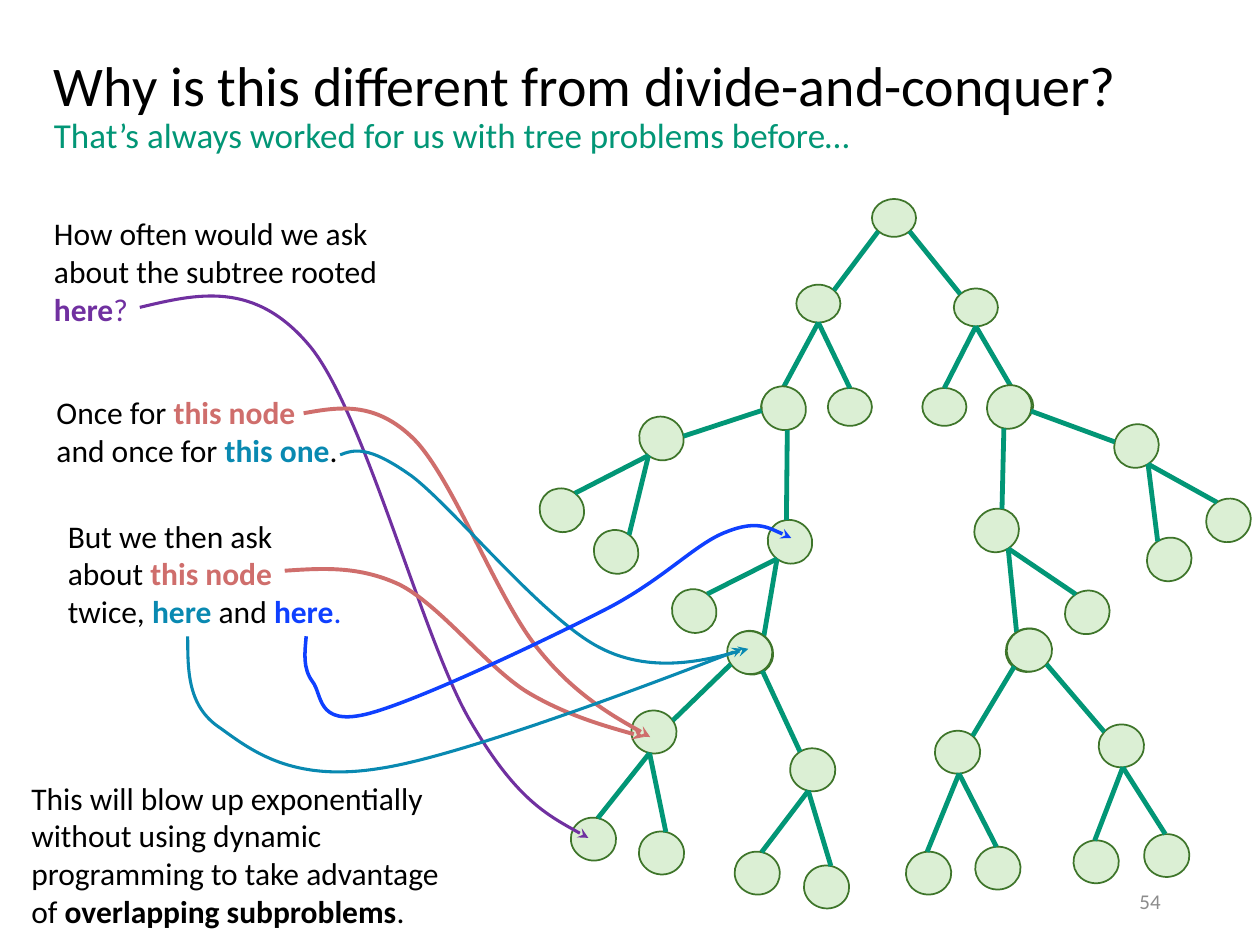
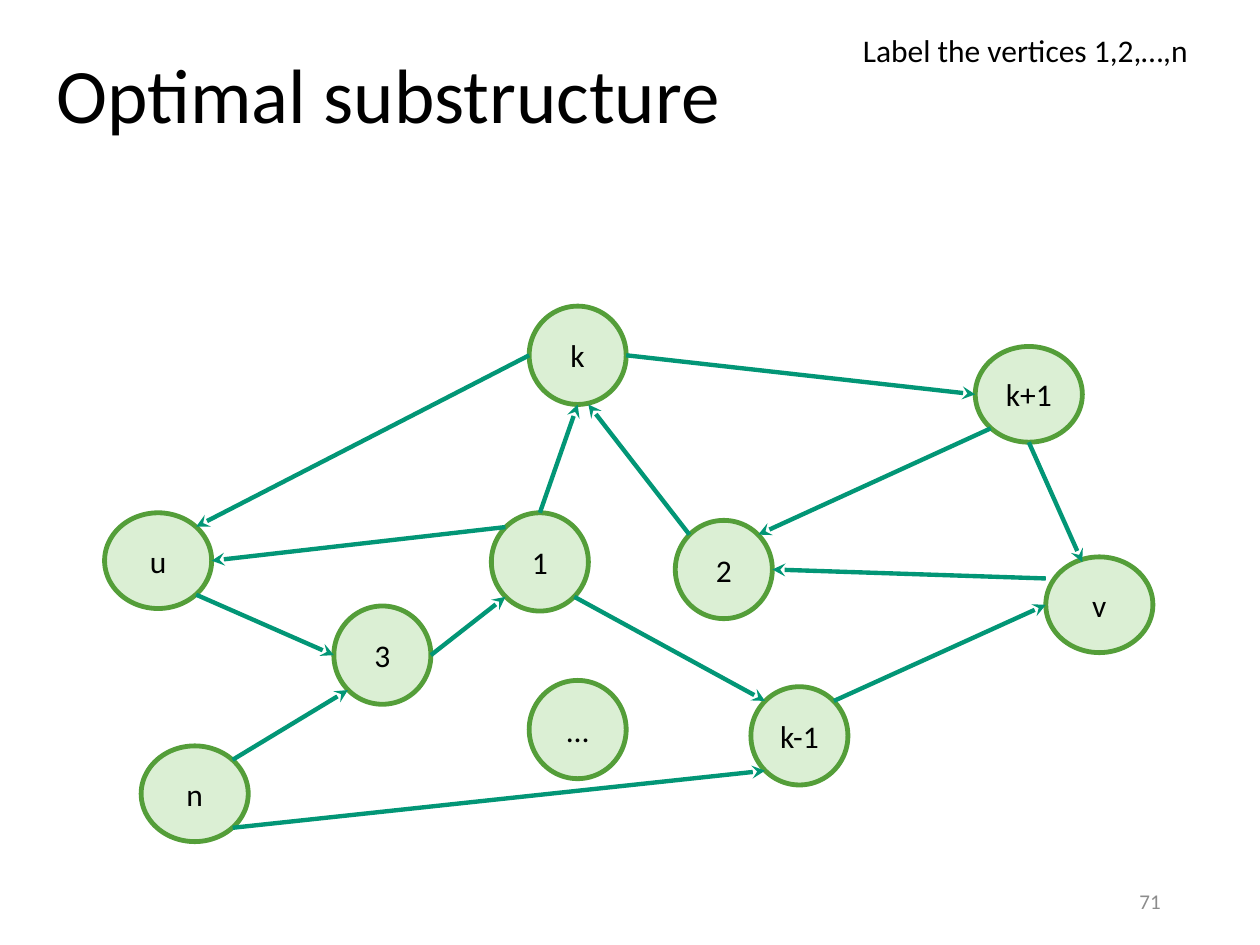
from dataclasses import dataclass
from math import cos, radians, sin

from lxml import etree
from pptx import Presentation
from pptx.dml.color import RGBColor as RGB
from pptx.enum.shapes import MSO_CONNECTOR as CONN, MSO_SHAPE as SHAPE
from pptx.enum.text import MSO_ANCHOR as ANCHOR, PP_ALIGN as ALIGN
from pptx.oxml.ns import qn
from pptx.util import Inches, Pt


@dataclass(frozen=True)
class Theme:
    font: str = "Calibri"
    text: str = "000000"
    muted: str = "8C8C8C"
    edge: str = "029676"
    node: str = "DBEFD4"
    tree_rim: str = "3E752A"
    graph_rim: str = "549E39"
    purple: str = "7030A0"
    red: str = "CF6E6C"
    teal: str = "0989B1"
    blue: str = "0F40FF"
    title: int = 44
    long_title: int = 32
    subtitle: int = 20
    body: int = 18
    number: int = 12


T = Theme()


def add_text(slide, box, runs, size=T.body, anchor=ANCHOR.TOP, align=ALIGN.LEFT, spacing=None):
    """Add a text box; each run is (text, colour, bold[, size]) and "\\n" breaks the line."""
    tf = slide.shapes.add_textbox(*map(Inches, box)).text_frame
    tf.word_wrap = True
    tf.vertical_anchor = anchor
    p = tf.paragraphs[0]
    p.alignment = align
    p.line_spacing = spacing
    for text, color, bold, *own_size in runs:
        if text == "\n":
            p.add_line_break()
            continue
        r = p.add_run()
        r.text = text
        r.font.name = T.font
        r.font.size = Pt(own_size[0] if own_size else size)
        r.font.bold = bold
        r.font.color.rgb = RGB.from_string(color)


def style_line(sp, color, width, arrow=False):
    """Colour the line, drop the shadow and optionally put a stealth arrowhead at the end."""
    sp.line.color.rgb = RGB.from_string(color)
    sp.line.width = Pt(width)
    props = sp._element.spPr
    if arrow:
        etree.SubElement(props.find(qn("a:ln")), qn("a:tailEnd"), type="stealth")
    etree.SubElement(props, qn("a:effectLst"))


prs = Presentation()
prs.slide_width, prs.slide_height = Inches(10), Inches(7.5)
tree_slide, graph_slide = [prs.slides.add_slide(prs.slide_layouts[6]) for _ in range(2)]

# Titles and slide numbers
titles = [
    (tree_slide, (0.33, 0.28, 9.53, 1.14), T.long_title, "54", [
        ("Why is this different from divide-and-conquer?", T.text, False),
        ("\n", T.text, False),
        ("That’s always worked for us with tree problems before…", T.edge, False, T.subtitle)]),
    (graph_slide, (0.35, 0.1, 8.62, 1.37), T.title, "71", [
        ("Optimal substructure", T.text, False)]),
]
for slide, box, size, number, runs in titles:
    add_text(slide, box, runs, size, ANCHOR.MIDDLE, spacing=0.9)
    add_text(slide, (7.06, 6.95, 2.25, 0.4), [(number, T.muted, False)], T.number,
             ANCHOR.MIDDLE, ALIGN.RIGHT)

# Points on an ellipse's rim, in half widths and half heights from its centre
D = 0.71
TOP, LEFT, BOTTOM, RIGHT = (0, -1), (-1, 0), (0, 1), (1, 0)
TL, TR, BL, BR = (-D, -D), (D, -D), (-D, D), (D, D)

# Every subtree has the same seven nodes, turned and stretched
TREE_NODES = ["root", "right", "left", "left-right", "left-left", "right-right", "right-left"]
TREE_EDGES = [("right", TL, "root", BR), ("left", TR, "root", BL)] + [
    (f"{side}-{child}", TOP, side, BOTTOM)
    for side in ("left", "right") for child in ("left", "right")]
subtrees = [  # rotation, node size, top left corner of each node
    (0, (0.35, 0.3), [(6.92, 1.58), (7.57, 2.29), (6.32, 2.26), (6.57, 3.08),
                      (6.04, 3.08), (7.85, 3.07), (7.32, 3.08)]),
    (37.3, (0.36, 0.34), [(6.04, 3.07), (6.09, 4.13), (5.07, 3.31), (4.71, 4.21),
                          (4.28, 3.88), (5.78, 5.01), (5.33, 4.68)]),
    (327.4, (0.36, 0.34), [(7.83, 3.06), (8.84, 3.37), (7.73, 4.04), (8.45, 4.69),
                           (7.98, 4.99), (9.57, 3.96), (9.1, 4.27)]),
    (356.1, (0.36, 0.34), [(7.99, 4.99), (8.72, 5.75), (7.42, 5.8), (7.74, 6.72),
                           (7.19, 6.76), (9.08, 6.62), (8.52, 6.67)]),
    (11.8, (0.36, 0.34), [(5.77, 5.01), (6.27, 5.94), (5.01, 5.64), (5.07, 6.6),
                          (4.53, 6.49), (6.38, 6.87), (5.83, 6.76)]),
]
graphs = [
    (tree_slide, rot, {name: (*at, *size) for name, at in zip(TREE_NODES, corners)}, TREE_EDGES)
    for rot, size, corners in subtrees]

ROUND, WIDE = (0.77, 0.78), (0.85, 0.76)
vertices = {
    "k-1": (5.96, 5.45, *ROUND), "2": (5.36, 4.13, *ROUND), "…": (4.2, 5.4, *ROUND),
    "1": (3.9, 4.07, *ROUND), "3": (2.65, 4.81, *ROUND), "k": (4.2, 2.43, *ROUND),
    "k+1": (7.74, 2.75, *WIDE), "u": (0.83, 4.07, *WIDE), "v": (8.3, 4.42, *WIDE),
    "n": (1.12, 5.92, *WIDE),
}
arcs = [
    ("u", BR, "3", LEFT), ("3", RIGHT, "1", BL), ("1", BR, "k-1", TL), ("k-1", TR, "v", LEFT),
    ("2", TL, "k", (0.22, 1)), ("k", LEFT, "u", TR), ("k", RIGHT, "k+1", LEFT),
    ("n", TR, "3", BL), ("k+1", BOTTOM, "v", (-0.32, -0.89)), ("k+1", BL, "2", TR),
    ("v", (-1, -0.55), "2", RIGHT), ("1", TL, "u", RIGHT), ("1", TOP, "k", BOTTOM),
    ("n", BR, "k-1", BL),
]
graphs.append((graph_slide, 0, vertices, arcs))

for slide, rot, nodes, edges in graphs:
    directed = slide is graph_slide
    for name, box in nodes.items():
        sp = slide.shapes.add_shape(SHAPE.OVAL, *map(Inches, box))
        sp.rotation = rot
        sp.fill.solid()
        sp.fill.fore_color.rgb = RGB.from_string(T.node)
        style_line(sp, T.graph_rim if directed else T.tree_rim, 2.75 if directed else 1)
        if directed:
            tf = sp.text_frame
            tf.text = name
            tf.word_wrap = True
            tf.margin_left = tf.margin_right = 0
            tf.vertical_anchor = ANCHOR.MIDDLE
            p = tf.paragraphs[0]
            p.alignment = ALIGN.CENTER
            font = p.runs[0].font
            font.name, font.size = T.font, Pt(T.body)
            font.color.rgb = RGB.from_string(T.text)
    c, s = cos(radians(rot)), sin(radians(rot))
    for start, start_site, end, end_site in edges:
        ends = []
        for name, (sx, sy) in ((start, start_site), (end, end_site)):
            x, y, w, h = nodes[name]
            dx, dy = sx * w / 2, sy * h / 2
            ends += [x + w / 2 + dx * c - dy * s, y + h / 2 + dx * s + dy * c]
        line = slide.shapes.add_connector(CONN.STRAIGHT, *map(Inches, ends))
        style_line(line, T.edge, 2.5 if directed else 2.75, directed)

# Remarks
remarks = [
    (tree_slide, (0.33, 1.65, 3.03, 1.01), [
        ("How often would we ask about the subtree rooted ", T.text, False),
        ("here", T.purple, True), ("?", T.purple, False)]),
    (tree_slide, (0.35, 3.07, 2.53, 0.71), [
        ("Once for ", T.text, False), ("this node ", T.red, True),
        ("and once for ", T.text, False), ("this one", T.teal, True), (".", T.text, False)]),
    (tree_slide, (0.44, 4.05, 2.43, 1.01), [
        ("But we then ask about ", T.text, False), ("this node ", T.red, True),
        ("twice, ", T.text, False), ("here", T.teal, True), (" and ", T.text, False),
        ("here", T.blue, True), (".", T.blue, False)]),
    (tree_slide, (0.15, 6.13, 3.69, 1.31), [
        ("This will blow up exponentially without using dynamic programming "
         "to take advantage of ", T.text, False),
        ("overlapping subproblems", T.text, True), (".", T.text, False)]),
    (graph_slide, (6.75, 0.2, 3.1, 0.4), [("Label the vertices 1,2,…,n", T.text, False)]),
]
for slide, box, runs in remarks:
    add_text(slide, box, runs)

# Curved pointers: a start point, then three Bézier points for each piece
pointers = [
    (T.purple, 1.75, [(1.11, 2.44), (1.57, 2.33), (2.03, 2.22), (2.47, 2.76), (2.9, 3.3),
                      (3.35, 5.05), (3.72, 5.7), (4.09, 6.34), (4.38, 6.49), (4.67, 6.65)]),
    (T.red, 2.25, [(2.41, 3.28), (2.69, 3.23), (2.98, 3.18), (3.29, 3.49), (3.6, 3.81),
                   (3.95, 4.76), (4.27, 5.15), (4.58, 5.54), (5.16, 5.85), (5.16, 5.85)]),
    (T.teal, 1.75, [(2.7, 3.61), (2.81, 3.57), (2.92, 3.53), (3.27, 3.78), (3.61, 4.04),
                    (4.31, 4.91), (4.76, 5.14), (5.2, 5.37), (5.94, 5.15), (5.94, 5.15)]),
    (T.red, 2.25, [(2.26, 4.53), (2.56, 4.51), (2.85, 4.49), (3.17, 4.64), (3.49, 4.8),
                   (3.86, 5.29), (4.18, 5.49), (4.51, 5.69), (5.11, 5.85), (5.11, 5.85)]),
    (T.teal, 1.75, [(1.49, 5.05), (1.49, 5.33), (1.49, 5.61), (1.75, 5.78), (2, 5.96),
                    (2.32, 6.21), (3.01, 6.1), (3.7, 6), (5.89, 5.15), (5.89, 5.15)]),
    (T.blue, 2, [(2.43, 5.05), (2.42, 5.18), (2.4, 5.3), (2.48, 5.41), (2.56, 5.51),
                 (2.51, 5.76), (2.9, 5.67), (3.28, 5.58), (4.31, 5.09), (4.78, 4.85),
                 (5.26, 4.61), (5.52, 4.31), (5.77, 4.22), (6.02, 4.12), (6.28, 4.27),
                 (6.28, 4.27)]),
]
for color, width, points in pointers:
    start, *rest = [(Inches(x), Inches(y)) for x, y in points]
    builder = tree_slide.shapes.build_freeform(*start)
    builder.add_line_segments(rest, close=False)
    sp = builder.convert_to_shape()
    sp.fill.background()
    style_line(sp, color, width, arrow=True)
    outline = sp._element.spPr.find(".//" + qn("a:path"))
    segments = list(outline)[1:]
    for i in range(0, len(segments), 3):
        curve = etree.SubElement(outline, qn("a:cubicBezTo"))
        for segment in segments[i:i + 3]:
            curve.append(segment[0])
            outline.remove(segment)

prs.save("out.pptx")
